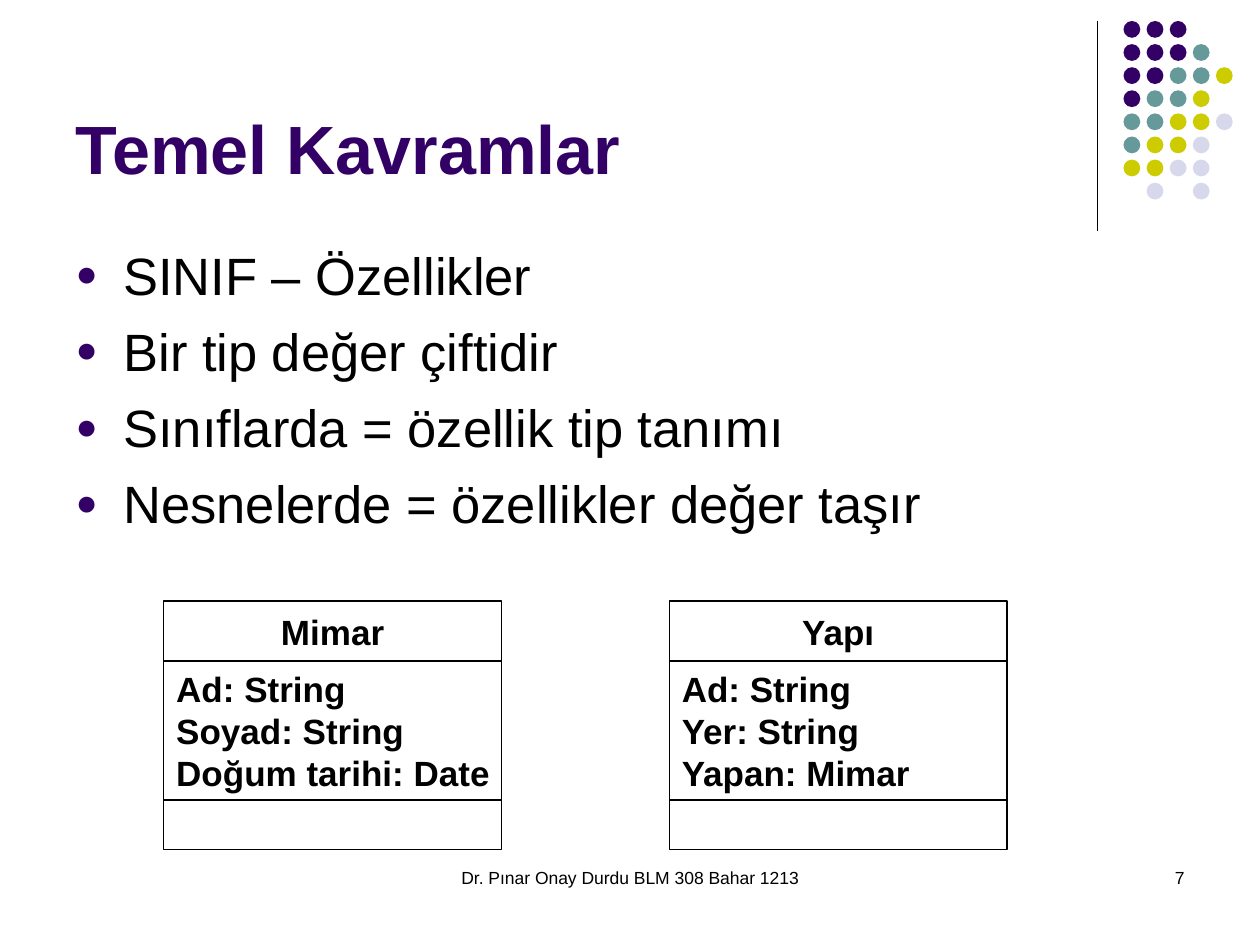
from dataclasses import dataclass
from typing import Any

from lxml import etree
from pptx import Presentation
from pptx import util as u
from pptx.dml.color import RGBColor
from pptx.enum import shapes, text
from pptx.oxml import ns

COLORS = {
    "ink": "000000",
    "violet": "330066",
    "teal": "669999",
    "olive": "CCCC00",
    "lilac": "D8D8EC",
}
COLUMNS, ROWS = 120, 90
DOT_COLORS = {"v": "violet", "t": "teal", "o": "olive", "l": "lilac"}
DOT_ROWS = ["vvv", "vvvt", "vvtto", "vtto", "ttool", "tool", "ooll", " l l"]
TOPICS = [
    "SINIF – Özellikler",
    "Bir tip değer çiftidir",
    "Sınıflarda = özellik tip tanımı",
    "Nesnelerde = özellikler değer taşır",
]
CLASSES = [
    ("Mimar", ["Ad: String", "Soyad: String", "Doğum tarihi: Date"]),
    ("Yapı", ["Ad: String", "Yer: String", "Yapan: Mimar"]),
]


def add_bullet(para, color, percent):
    properties = para._p.get_or_add_pPr()
    properties.set("marL", str(u.Inches(0.38)))
    properties.set("indent", str(-u.Inches(0.38)))
    tint = etree.SubElement(properties, ns.qn("a:buClr"))
    etree.SubElement(tint, ns.qn("a:srgbClr"), val=COLORS[color])
    etree.SubElement(properties, ns.qn("a:buSzPct"), val=str(percent * 1000))
    etree.SubElement(properties, ns.qn("a:buFont"), typeface="Arial")
    etree.SubElement(properties, ns.qn("a:buChar"), char="●")


def write(frame, lines, *, size, font="Arial", color="ink", bold=False,
          align="LEFT", anchor="TOP", wrap=True, bullet=None, gap=0):
    frame.word_wrap = wrap
    frame.auto_size = text.MSO_AUTO_SIZE.NONE
    frame.vertical_anchor = text.MSO_ANCHOR[anchor]
    for index, line in enumerate(lines):
        para = frame.add_paragraph() if index else frame.paragraphs[0]
        if bullet:
            add_bullet(para, bullet, 70)
        para.alignment = text.PP_ALIGN[align]
        para.space_before = u.Pt(gap if index else 0)
        span = para.add_run()
        span.text = line
        span.font.name = font
        span.font.size = u.Pt(size)
        span.font.bold = bold
        span.font.color.rgb = RGBColor.from_string(COLORS[color])


@dataclass
class SlideBuilder:
    deck: Any
    page: Any
    font: str = "Arial"
    line_width: float = 0.75

    def place(self, column, row, width, height):
        across = self.deck.slide_width / COLUMNS
        down = self.deck.slide_height / ROWS
        return [u.Emu(round(value)) for value in
                (column * across, row * down, width * across, height * down)]

    def placeholder(self, index, area, lines, **style):
        box = self.page.placeholders[index]
        box.left, box.top, box.width, box.height = self.place(*area)
        write(box.text_frame, lines, font=self.font, **style)

    def label(self, area, line, **style):
        box = self.page.shapes.add_textbox(*self.place(*area))
        write(box.text_frame, [line], font=self.font, **style)

    def dot(self, column, row, size, color):
        shape = self.page.shapes.add_shape(
            shapes.MSO_SHAPE.OVAL, *self.place(column, row, size, size))
        shape.shadow.inherit = False
        shape.fill.solid()
        shape.fill.fore_color.rgb = RGBColor.from_string(COLORS[color])
        shape.line.fill.background()

    def cell(self, area, lines=(), **style):
        shape = self.page.shapes.add_shape(
            shapes.MSO_SHAPE.RECTANGLE, *self.place(*area))
        shape.shadow.inherit = False
        shape.fill.background()
        self.outline(shape)
        if lines:
            write(shape.text_frame, lines, font=self.font, size=20, bold=True,
                  anchor="MIDDLE", wrap=False, **style)

    def rule(self, column, top, bottom):
        left, start, _, length = self.place(column, top, 0, bottom - top)
        line = self.page.shapes.add_connector(
            shapes.MSO_CONNECTOR.STRAIGHT, left, start, left, start + length)
        self.outline(line)
        etree.SubElement(line._element.spPr, ns.qn("a:effectLst"))

    def outline(self, shape):
        shape.line.color.rgb = RGBColor.from_string(COLORS["ink"])
        shape.line.width = u.Pt(self.line_width)

    def dot_pattern(self, column, row, pitch, size):
        for down, keys in enumerate(DOT_ROWS):
            for across, key in enumerate(keys):
                if key in DOT_COLORS:
                    self.dot(column + across * pitch, row + down * pitch,
                             size, DOT_COLORS[key])

    def class_box(self, column, name, fields):
        width = 32.15
        self.cell((column, 57.25, width, 5.7), [name], align="CENTER")
        self.cell((column, 62.95, width, 13.25), fields)
        self.cell((column, 76.2, width, 4.7))


def main():
    deck = Presentation()
    deck.slide_width, deck.slide_height = u.Inches(10), u.Inches(7.5)
    page = deck.slides.add_slide(deck.slide_layouts[1])
    builder = SlideBuilder(deck, page)

    builder.rule(104.5, 2, 22)
    builder.dot_pattern(107, 2, pitch=2.2, size=1.6)
    builder.label((41, 82, 38, 6), "Dr. Pınar Onay Durdu BLM 308 Bahar 1213",
                  size=10, align="CENTER")
    builder.label((86, 82, 28, 6), "7", size=10, align="RIGHT")
    builder.placeholder(0, (6, 1.5, 99, 17), ["Temel Kavramlar"], size=39,
                        color="violet", bold=True, anchor="BOTTOM")
    builder.placeholder(1, (6, 22.5, 108, 30), TOPICS, size=30,
                        bullet="violet", gap=7.5)
    for index, (name, fields) in enumerate(CLASSES):
        builder.class_box(15.6 + index * 48.15, name, fields)

    deck.save("out.pptx")


if __name__ == "__main__":
    main()
